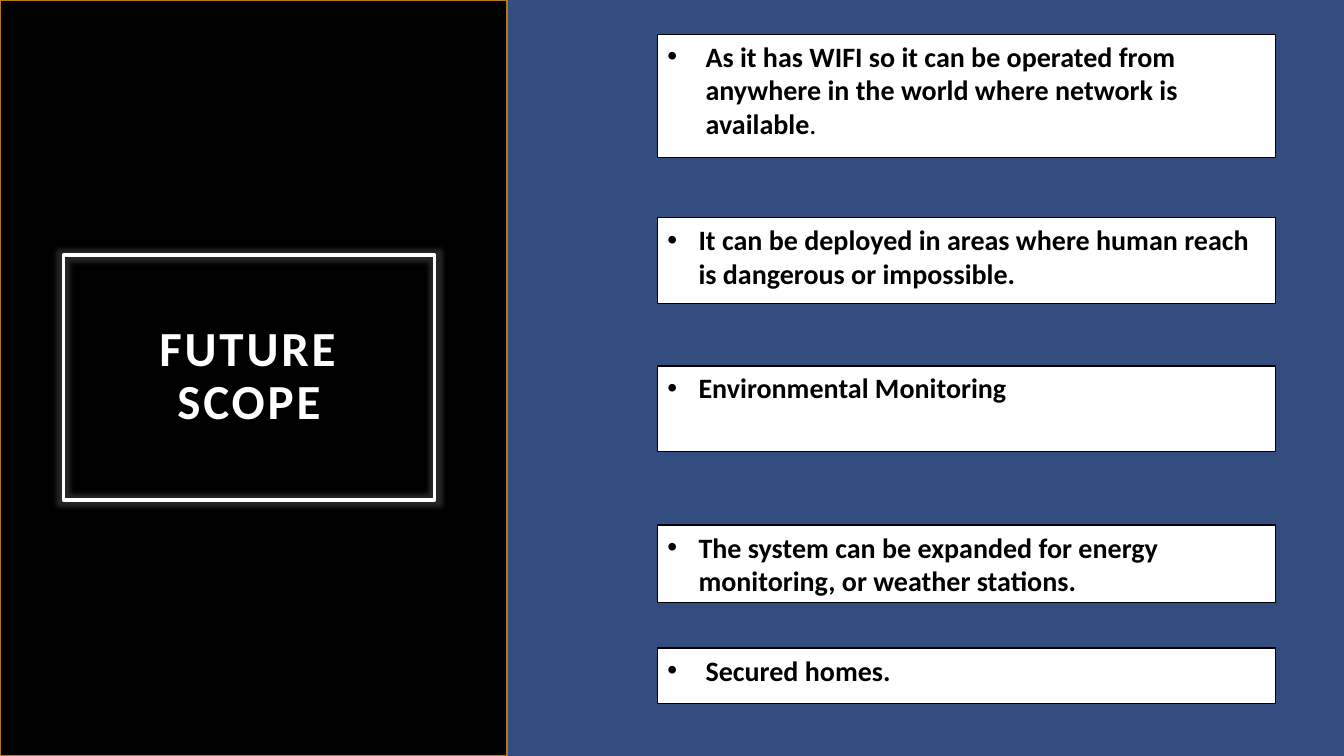
from lxml.etree import SubElement
from pptx import Presentation
from pptx.dml.color import RGBColor
from pptx.enum.shapes import MSO_SHAPE as Preset
from pptx.enum.text import MSO_ANCHOR as Anchor, PP_ALIGN as Align
from pptx.oxml.ns import qn
from pptx.util import Inches, Pt

NAVY = RGBColor(0x33, 0x4D, 0x80)
BLACK = RGBColor(0x00, 0x00, 0x00)
WHITE = RGBColor(0xFF, 0xFF, 0xFF)
ORANGE = RGBColor(0xB6, 0x78, 0x15)


def add_text(para, text, size=20, color=BLACK, bold=True, spacing=0):
    span = para.add_run()
    span.text = text
    span.font.name = "Calibri"
    span.font.size = Pt(size)
    span.font.bold = bold
    span.font.color.rgb = color
    if spacing:
        span.font._element.set("spc", str(spacing * 100))


def add_panel(left, top, width, height, fill, line):
    panel = page.shapes.add_shape(
        Preset.RECTANGLE, Inches(left), Inches(top), Inches(width), Inches(height)
    )
    panel.shadow.inherit = False
    panel.fill.solid()
    panel.fill.fore_color.rgb = fill
    panel.line.color.rgb = line
    panel.line.width = Pt(1)
    return panel


deck = Presentation()
deck.slide_width, deck.slide_height = Inches(13.33), Inches(7.5)
page = deck.slides.add_slide(deck.slide_layouts.get_by_name("Title Only"))
page.background.fill.solid()
page.background.fill.fore_color.rgb = NAVY

title = page.shapes.title
side_panel = add_panel(0, 0, 5.03, 7.5, BLACK, ORANGE)
title.element.addprevious(side_panel.element)

title.left, title.top = Inches(0.63), Inches(2.53)
title.width, title.height = Inches(3.68), Inches(2.43)
title.line.color.rgb = WHITE
title.line.width = Pt(2.5)
effects = SubElement(title.element.spPr, qn("a:effectLst"))
glow = SubElement(effects, qn("a:glow"), rad=str(Inches(0.1)))
glow_color = SubElement(glow, qn("a:srgbClr"), val=str(WHITE))
SubElement(glow_color, qn("a:alpha"), val="15000")

frame = title.text_frame
frame.word_wrap = True
frame.vertical_anchor = Anchor.MIDDLE
frame.margin_left = frame.margin_right = Inches(0.2)
frame.margin_top = frame.margin_bottom = Inches(0.2)
heading = frame.paragraphs[0]
heading.alignment = Align.CENTER
heading.line_spacing = 0.9
add_text(heading, "FUTURE", size=35, color=WHITE, spacing=2)
heading.add_line_break()
add_text(heading, "SCOPE", size=35, color=WHITE, spacing=2)

points = [
    (0.34, 1.22, 0.38, "As it has WIFI so it can be operated from anywhere "
     "in the world where network is available", "."),
    (2.16, 0.85, 0.31, "It can be deployed in areas where human reach "
     "is dangerous or impossible.", ""),
    (3.63, 0.85, 0.31, "Environmental Monitoring", ""),
    (5.21, 0.77, 0.31, "The system can be expanded for energy monitoring, "
     "or weather stations.", ""),
    (6.43, 0.55, 0.38, "Secured homes.", ""),
]
for top, height, indent, text, ending in points:
    box = add_panel(6.52, top, 6.13, height, WHITE, BLACK)
    box.text_frame.word_wrap = True
    box.text_frame.vertical_anchor = Anchor.TOP
    para = box.text_frame.paragraphs[0]
    para.alignment = Align.LEFT
    layout = para._p.get_or_add_pPr()
    layout.set("marL", str(Inches(indent)))
    layout.set("indent", str(-Inches(indent)))
    SubElement(layout, qn("a:buFont"), typeface="Arial")
    SubElement(layout, qn("a:buChar"), char="•")
    add_text(para, text)
    if ending:
        add_text(para, ending, bold=False)

deck.save("out.pptx")
